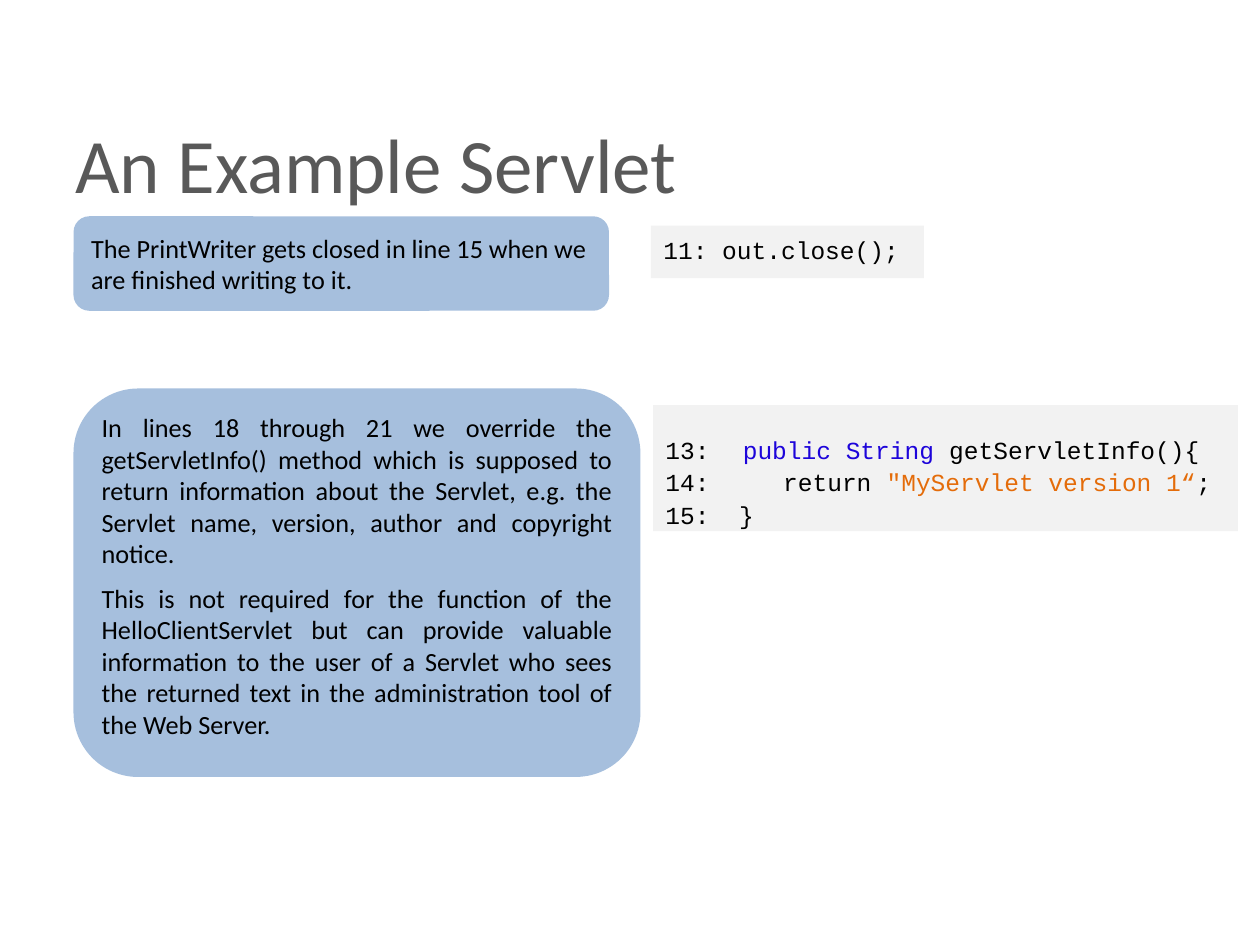
from dataclasses import dataclass
from typing import NamedTuple

from lxml.etree import SubElement
from pptx import Presentation
from pptx.dml.color import RGBColor
from pptx.enum.shapes import MSO_SHAPE as Preset
from pptx.enum.text import MSO_ANCHOR as Anchor, PP_ALIGN as Align
from pptx.oxml.ns import qn
from pptx.util import Inches, Pt

COLUMNS, ROWS = 120, 90


@dataclass(frozen=True)
class Theme:
    card: str = "4F81BD"
    card_alpha: int = 50
    code_fill: str = "F2F2F2"
    title: str = "595959"
    ink: str = "000000"
    keyword: str = "1D04DA"
    literal: str = "E46C0A"
    prose_font: str = "Calibri"
    code_font: str = "Courier New"
    title_size: float = 44
    prose_size: float = 15
    code_size: float = 14
    prose_gap: float = 7.5
    code_gap: float = 3.2


THEME = Theme()


class Area(NamedTuple):
    """Column, row, width and height in grid units."""
    column: float
    row: float
    width: float
    height: float


class Span(NamedTuple):
    text: str
    color: str = THEME.ink


class Note(NamedTuple):
    card: Area
    body: Area
    align: Align
    paragraphs: list[str]


class Listing(NamedTuple):
    area: Area
    top_inset: float
    lines: list[list[Span]]


NOTES = [
    Note(Area(7, 20.6, 51, 9), Area(7.5, 21.5, 51, 7.3), Align.LEFT, [
        "The PrintWriter gets closed in line 15 when we are finished writing to it.",
    ]),
    Note(Area(7, 37, 54, 37), Area(8.5, 38.6, 51, 33), Align.JUSTIFY, [
        "In lines 18 through 21 we override the getServletInfo() method which is "
        "supposed to return information about the Servlet, e.g. the Servlet name, "
        "version, author and copyright notice.",
        "This is not required for the function of the HelloClientServlet but can "
        "provide valuable information to the user of a Servlet who sees the returned "
        "text in the administration tool of the Web Server.",
    ]),
]

LISTINGS = [
    Listing(Area(62, 21.5, 26, 5), 0.05, [[Span("11: out.close();")]]),
    Listing(Area(62.2, 38.6, 55.7, 12), 0.3, [
        [Span("13:\t  "), Span("public String ", THEME.keyword),
         Span("getServletInfo(){")],
        [Span("14:     return "), Span('"MyServlet version 1“', THEME.literal),
         Span(";")],
        [Span("15:  }")],
    ]),
]

prs = Presentation()
prs.slide_width, prs.slide_height = Inches(10), Inches(7.5)
slide = prs.slides.add_slide(prs.slide_layouts[6])


def place(area: Area) -> tuple[int, int, int, int]:
    """Turn grid units into slide lengths."""
    cell_width, cell_height = prs.slide_width / COLUMNS, prs.slide_height / ROWS
    return (round(area.column * cell_width), round(area.row * cell_height),
            round(area.width * cell_width), round(area.height * cell_height))


def apply(target, values: dict) -> None:
    for name, value in values.items():
        setattr(target, name, value)


def write(paragraph, spans: list[Span], font: str, size: float) -> None:
    for span in spans:
        run = paragraph.add_run()
        run.text = span.text
        apply(run.font, {"name": font, "size": Pt(size)})
        run.font.color.rgb = RGBColor.from_string(span.color)


def fill_frame(frame, lines: list[list[Span]], font: str, size: float,
               gap: float = 0, **paragraph_format) -> None:
    """Write one paragraph per line, with the gap only between lines."""
    for index, spans in enumerate(lines):
        paragraph = frame.add_paragraph() if index else frame.paragraphs[0]
        apply(paragraph, {**paragraph_format, "space_before": Pt(gap if index else 0)})
        write(paragraph, spans, font, size)


def add_panel(preset: Preset, area: Area, color: str):
    panel = slide.shapes.add_shape(preset, *place(area))
    panel.shadow.inherit = False
    panel.fill.solid()
    panel.fill.fore_color.rgb = RGBColor.from_string(color)
    panel.line.fill.background()
    return panel


def add_frame(area: Area, anchor: Anchor):
    frame = slide.shapes.add_textbox(*place(area)).text_frame
    apply(frame, {"word_wrap": True, "vertical_anchor": anchor})
    return frame


def add_title(text: str) -> None:
    fill_frame(add_frame(Area(6, 8, 108, 15), Anchor.MIDDLE),
               [[Span(text, THEME.title)]], THEME.prose_font, THEME.title_size)


def add_note(note: Note) -> None:
    card = add_panel(Preset.FLOWCHART_ALTERNATE_PROCESS, note.card, THEME.card)
    tint = card.fill._xPr.find(".//" + qn("a:srgbClr"))
    SubElement(tint, qn("a:alpha"), val=str(THEME.card_alpha * 1000))
    fill_frame(add_frame(note.body, Anchor.TOP),
               [[Span(text)] for text in note.paragraphs],
               THEME.prose_font, THEME.prose_size, THEME.prose_gap,
               alignment=note.align)


def add_listing(listing: Listing) -> None:
    frame = add_panel(Preset.RECTANGLE, listing.area, THEME.code_fill).text_frame
    apply(frame, {"word_wrap": True, "vertical_anchor": Anchor.MIDDLE,
                  "margin_top": Inches(listing.top_inset)})
    fill_frame(frame, listing.lines, THEME.code_font, THEME.code_size,
               THEME.code_gap, alignment=Align.LEFT, line_spacing=0.9)
    for paragraph in frame.paragraphs:
        hanging = Inches(0.38)
        properties = paragraph._p.get_or_add_pPr()
        properties.set("marL", str(hanging))
        properties.set("indent", str(-hanging))


add_title("An Example Servlet")
for note in NOTES:
    add_note(note)
for listing in LISTINGS:
    add_listing(listing)

prs.save("out.pptx")
